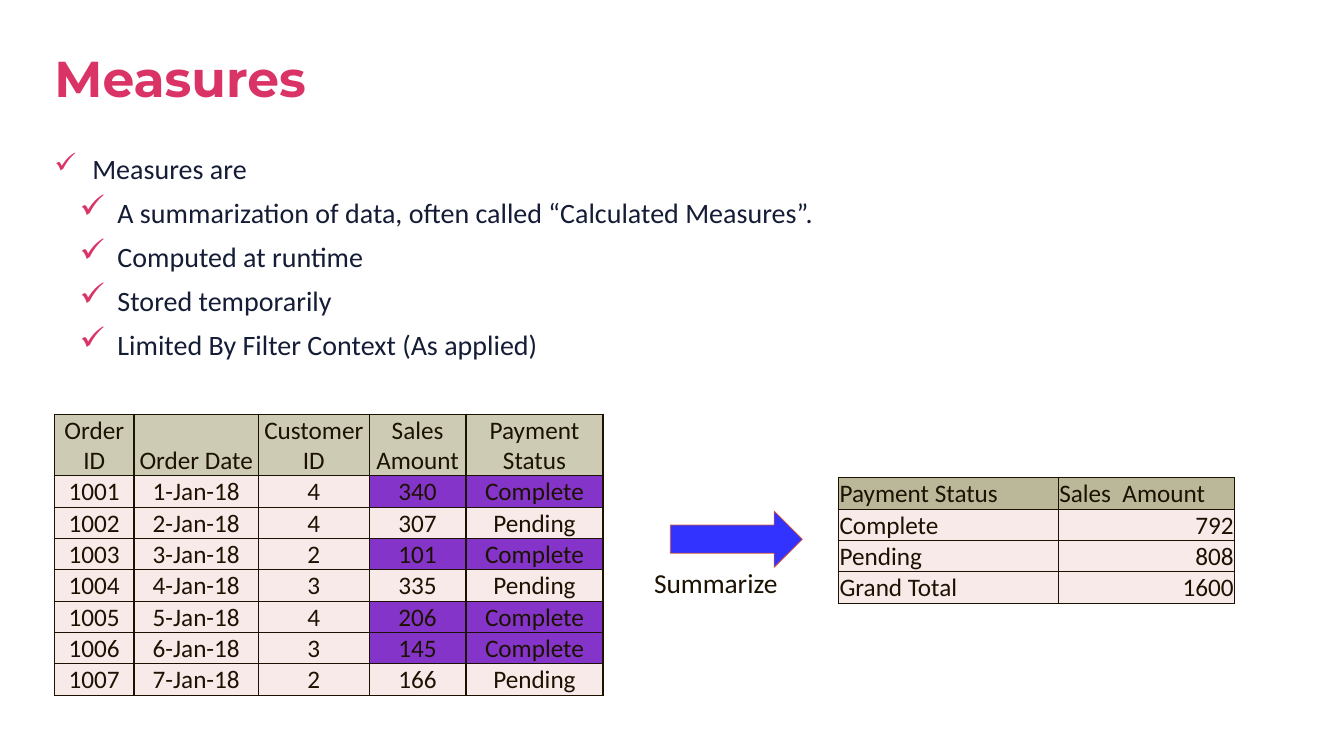
"""Build the Measures slide: key points, an order table and its summary."""
from dataclasses import dataclass
from lxml.etree import SubElement as Sub
from pptx import Presentation
from pptx.dml.color import RGBColor as RGB
from pptx.enum.shapes import MSO_SHAPE as Shape
from pptx.enum.text import MSO_ANCHOR as Anchor, MSO_AUTO_SIZE as Fit, PP_ALIGN as Align
from pptx.oxml.ns import qn
from pptx.util import Pt


@dataclass(frozen=True)
class Theme:
    pink: str = "DA3467"
    navy: str = "141C36"
    ink: str = "1C1202"
    sand: str = "CECBB5"
    khaki: str = "BBB89A"
    blush: str = "F8EAE8"
    purple: str = "8534C9"
    blue: str = "3333FF"
    rust: str = "DA5835"
    head: str = "Montserrat"
    body: str = "Calibri"
    title: float = 36
    point: float = 20
    label: float = 19.6
    cell: float = 18


T = Theme()
LEFT = 38.9
ROW = 22.4
POINTS = [
    (0, "Measures are"),
    (1, "A summarization of data, often called “Calculated Measures”."),
    (1, "Computed at runtime"),
    (1, "Stored temporarily"),
    (1, "Limited By Filter Context (As applied)"),
]
ORDERS = [
    ("Order ID", "Order Date", "Customer ID", "Sales Amount", "Payment Status"),
    ("1001", "1-Jan-18", "4", "340", "Complete"),
    ("1002", "2-Jan-18", "4", "307", "Pending"),
    ("1003", "3-Jan-18", "2", "101", "Complete"),
    ("1004", "4-Jan-18", "3", "335", "Pending"),
    ("1005", "5-Jan-18", "4", "206", "Complete"),
    ("1006", "6-Jan-18", "3", "145", "Complete"),
    ("1007", "7-Jan-18", "2", "166", "Pending"),
]
TOTALS = [
    ("Payment Status", "Sales  Amount"),
    ("Complete", "792"),
    ("Pending", "808"),
    ("Grand Total", "1600"),
]


def style(para, size, color, face=T.body, bold=False):
    """Set the font of a whole paragraph."""
    font = para.font
    font.name, font.size, font.bold = face, Pt(size), bold
    font.color.rgb = RGB.from_string(color)


def paint(fill, color):
    """Give a solid fill."""
    fill.solid()
    fill.fore_color.rgb = RGB.from_string(color)


def add_box(slide, area, pad=None):
    """Add a wrapping text box and return its frame."""
    frame = slide.shapes.add_textbox(*map(Pt, area)).text_frame
    frame.word_wrap = True
    if pad is not None:
        frame.margin_left = frame.margin_right = 0
        frame.margin_top = frame.margin_bottom = Pt(pad)
    return frame


def add_label(slide, text, area, size, color, face=T.body, bold=False, pad=None):
    """Add one line of text and return its frame."""
    frame = add_box(slide, area, pad)
    para = frame.paragraphs[0]
    para.text = text
    style(para, size, color, face, bold)
    return frame


def add_tick(para, level):
    """Give a paragraph a hanging tick mark."""
    props = para._p.get_or_add_pPr()
    props.set("marL", str(Pt(27 + 18 * level)))
    props.set("indent", str(Pt(-27)))
    Sub(Sub(props, qn("a:buClr")), qn("a:srgbClr"), val=T.pink)
    if level:
        Sub(props, qn("a:buSzPct"), val="115000")
    Sub(props, qn("a:buChar"), char="✓")


def add_points(slide, points, area):
    """Add the ticked list."""
    frame = add_box(slide, area, 0)
    for at, (level, text) in enumerate(points):
        para = frame.add_paragraph() if at else frame.paragraphs[0]
        para.text, para.level = text, level
        add_tick(para, level)
        para.line_spacing = 1.1
        para.space_before = Pt(5 if at else 0)
        style(para, T.point, T.navy)


def add_edges(cell):
    """Draw a thin line on all four sides of a cell."""
    props = cell._tc.get_or_add_tcPr()
    for side in ("L", "R", "T", "B"):
        line = Sub(props, qn(f"a:ln{side}"), w=str(Pt(1)))
        Sub(Sub(line, qn("a:solidFill")), qn("a:srgbClr"), val=T.ink)


def add_grid(slide, rows, spot, cols, top, look):
    """Add a table; look gives the fill and alignment of each cell."""
    high = top + ROW * (len(rows) - 1)
    table = slide.shapes.add_table(
        len(rows), len(cols), *map(Pt, (*spot, sum(cols), high))).table
    table.first_row = table.horz_banding = False
    for col, wide in zip(table.columns, cols):
        col.width = Pt(wide)
    for r, row in enumerate(rows):
        table.rows[r].height = Pt(ROW if r else top)
        for c, text in enumerate(row):
            cell = table.cell(r, c)
            cell.margin_left = cell.margin_right = cell.margin_top = Pt(0.72)
            cell.margin_bottom = 0
            cell.vertical_anchor = Anchor.BOTTOM
            color, align = look(r, c)
            add_edges(cell)
            paint(cell.fill, color)
            para = cell.text_frame.paragraphs[0]
            para.text, para.alignment = text, align
            style(para, T.cell, T.ink)


def order_look(r, c):
    """Mark the amount and status of completed orders."""
    done = c >= 3 and ORDERS[r][-1] == "Complete"
    color = T.purple if done else T.blush if r else T.sand
    return color, Align.CENTER


def total_look(r, c):
    """Set the sums to the right under a darker heading."""
    return T.blush if r else T.khaki, Align.RIGHT if r and c else Align.LEFT


def add_arrow(slide, area):
    """Add the block arrow between the tables."""
    arrow = slide.shapes.add_shape(Shape.RIGHT_ARROW, *map(Pt, area))
    arrow.shadow.inherit = False
    paint(arrow.fill, T.blue)
    paint(arrow.line.fill, T.rust)
    arrow.line.width = Pt(0.5)


def main():
    """Build and save the slide."""
    deck = Presentation()
    deck.slide_width, deck.slide_height = Pt(960), Pt(540)
    slide = deck.slides.add_slide(deck.slide_layouts[6])
    title = add_label(slide, "Measures", (LEFT, 35.3, 882, 53.3),
                      T.title, T.pink, T.head, True, 3.6)
    title.paragraphs[0].line_spacing = 0.9
    add_points(slide, POINTS, (LEFT, 105.8, 882, 30.2))
    add_grid(slide, ORDERS, (LEFT, 295.9), (56.9, 88.8, 79.2, 69.1, 97.9),
             43.2, order_look)
    add_grid(slide, TOTALS, (599, 341.3), (157, 126), ROW, total_look)
    add_arrow(slide, (478.8, 365, 94.3, 40.3))
    label = add_label(slide, "Summarize", (460.1, 401, 113, 31), T.label, T.ink)
    label.auto_size = Fit.SHAPE_TO_FIT_TEXT
    deck.save("out.pptx")


if __name__ == "__main__":
    main()
